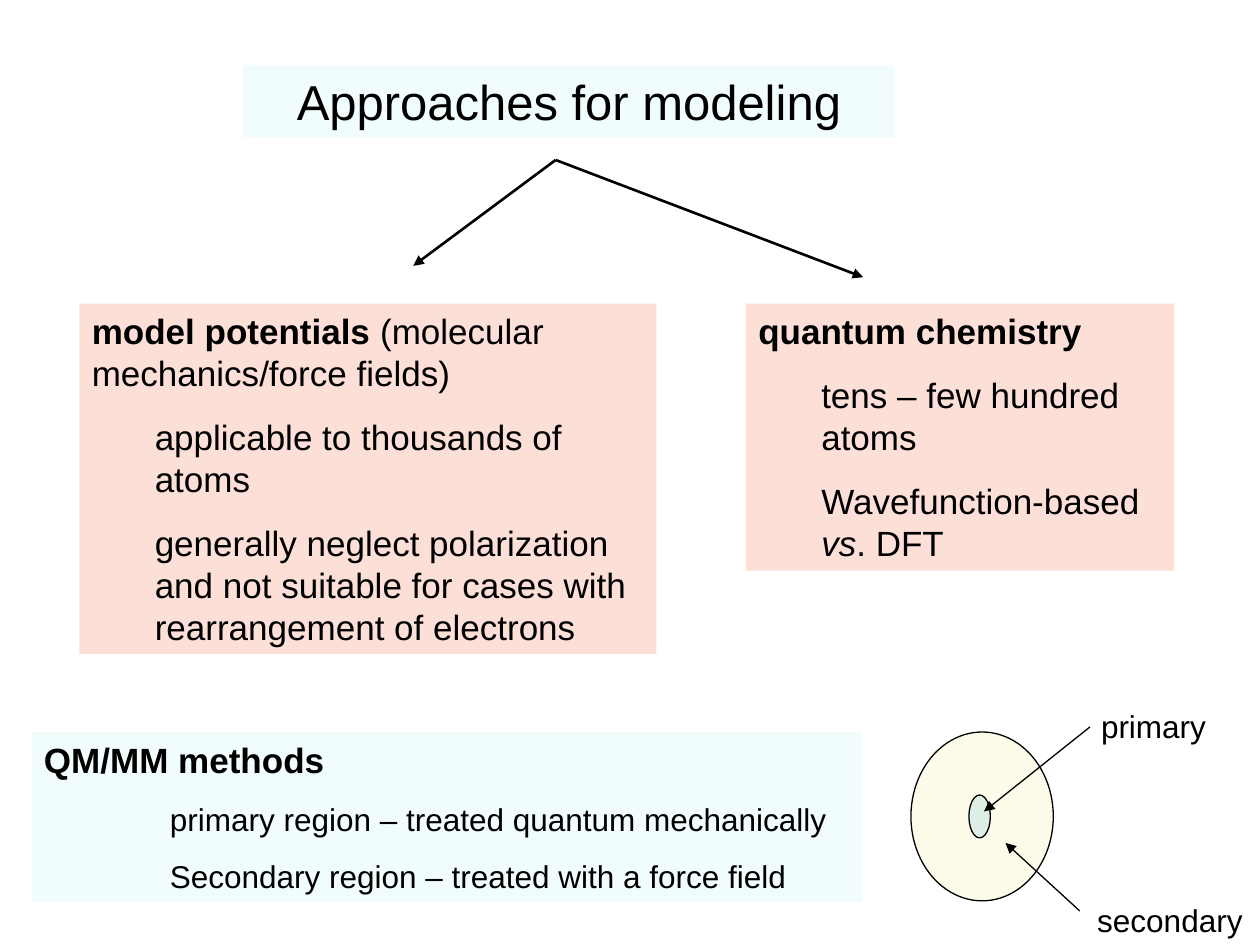
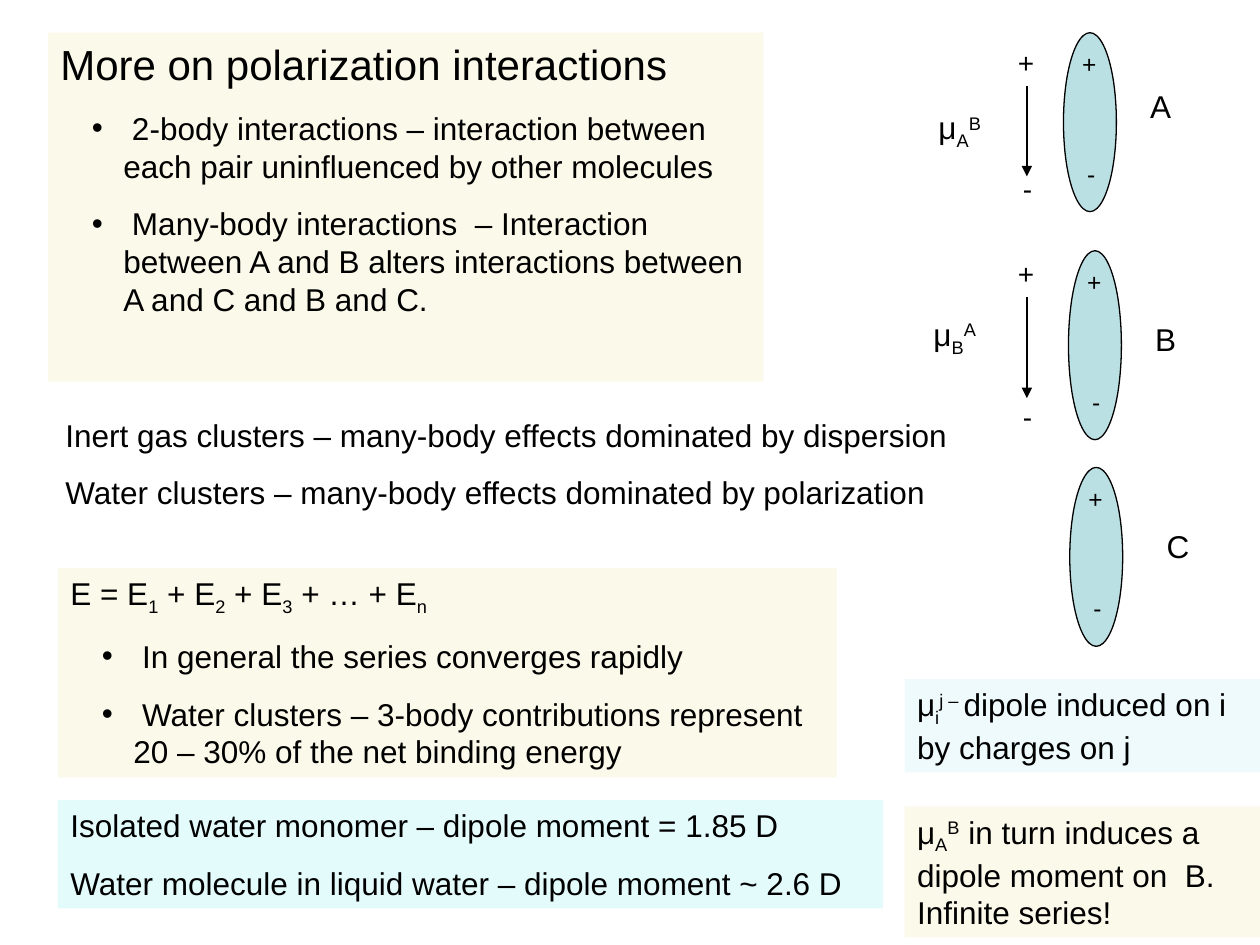
from lxml import etree
from pptx import Presentation
from pptx.dml.color import RGBColor
from pptx.enum import shapes, text
from pptx.oxml import ns
from pptx.util import Inches, Pt

BLACK = RGBColor(0x00, 0x00, 0x00)
MINT = RGBColor(0xF1, 0xFC, 0xFD)
PEACH = RGBColor(0xFC, 0xE0, 0xD8)
CREAM = RGBColor(0xFA, 0xF9, 0xEA)
AQUA = RGBColor(0xE4, 0xFB, 0xFC)
ICE = RGBColor(0xEE, 0xFA, 0xFC)
YELLOW = RGBColor(0xF8, 0xF5, 0xC0)
TEAL = RGBColor(0xBB, 0xE0, 0xE3)

BOLD, ITALIC, SUB, SUPER = "bold", "italic", "sub", "super"
BASELINES = {SUB: "-25000", SUPER: "30000"}


class Deck:
    """Holds the presentation style and the slide being built."""

    font = "Arial"
    space_ratio = 0.625
    bullet_hang = Inches(0.25)

    def __init__(self):
        self.presentation = Presentation()
        self.presentation.slide_width = Inches(10)
        self.presentation.slide_height = Inches(7.5)
        self.slide = None

    def new_slide(self):
        layout = self.presentation.slide_layouts[6]
        self.slide = self.presentation.slides.add_slide(layout)

    def typeset(self, frame, *runs, size=18, indent=0, bullet=False, align=None):
        """Add a paragraph of plain strings and (string, style) pairs."""
        paragraph = frame.paragraphs[0]
        if paragraph.runs:
            paragraph = frame.add_paragraph()
            paragraph.space_before = Pt(size * self.space_ratio)
        paragraph.alignment = align
        properties = paragraph._p.get_or_add_pPr()
        if indent:
            paragraph.level = int(indent / 0.5)
            properties.set("marL", str(Inches(indent)))
            properties.set("indent", str(-self.bullet_hang if bullet else 0))
        if bullet:
            etree.SubElement(properties, ns.qn("a:buFont"), typeface=self.font)
            etree.SubElement(properties, ns.qn("a:buChar"), char="•")
        for item in runs:
            words, style = (item, None) if isinstance(item, str) else item
            run = paragraph.add_run()
            run.text = words
            run.font.name = self.font
            run.font.size = Pt(size)
            run.font.color.rgb = BLACK
            if style == BOLD:
                run.font.bold = True
            elif style == ITALIC:
                run.font.italic = True
            elif style:
                run._r.get_or_add_rPr().set("baseline", BASELINES[style])

    def panel(self, left, top, width, height, fill=None):
        """Add a text box, filled if a colour is given, and return its frame."""
        shape = self.slide.shapes.add_textbox(
            Inches(left), Inches(top), Inches(width), Inches(height))
        if fill is not None:
            shape.fill.solid()
            shape.fill.fore_color.rgb = fill
        shape.text_frame.word_wrap = True
        return shape.text_frame

    def label(self, left, top, width, height, *runs, **style):
        self.typeset(self.panel(left, top, width, height), *runs, **style)

    def ellipse(self, left, top, width, height, fill, opacity=None):
        shape = self.slide.shapes.add_shape(
            shapes.MSO_SHAPE.OVAL,
            Inches(left), Inches(top), Inches(width), Inches(height))
        shape.shadow.inherit = False
        shape.fill.solid()
        shape.fill.fore_color.rgb = fill
        shape.line.color.rgb = BLACK
        shape.line.width = Pt(0.75)
        if opacity:
            color = shape._element.spPr.find(f"{ns.qn('a:solidFill')}/{ns.qn('a:srgbClr')}")
            etree.SubElement(color, ns.qn("a:alpha"), val=str(opacity * 1000))

    def arrow(self, start, end, weight=0.75):
        connector = self.slide.shapes.add_connector(
            shapes.MSO_CONNECTOR.STRAIGHT, *map(Inches, start + end))
        connector.line.color.rgb = BLACK
        connector.line.width = Pt(weight)
        properties = connector._element.spPr
        outline = properties.find(ns.qn("a:ln"))
        etree.SubElement(outline, ns.qn("a:tailEnd"), type="triangle")
        etree.SubElement(properties, ns.qn("a:effectLst"))


def build_approaches(deck):
    deck.new_slide()
    center = text.PP_ALIGN.CENTER
    title = deck.panel(1.93, 0.52, 5.17, 0.57, MINT)
    deck.typeset(title, "Approaches for modeling", size=28, align=center)
    for tip in ((3.28, 2.11), (6.85, 2.2)):
        deck.arrow((4.41, 1.27), tip, weight=1.5)

    potentials = deck.panel(0.63, 2.41, 4.58, 2.78, PEACH)
    deck.typeset(potentials, ("model potentials", BOLD),
                 " (molecular mechanics/force fields)", size=20)
    for point in ("applicable to thousands of atoms",
                  "generally neglect polarization and not suitable for cases "
                  "with rearrangement of electrons"):
        deck.typeset(potentials, point, size=20, indent=0.5)

    quantum = deck.panel(5.92, 2.41, 3.4, 2.12, PEACH)
    deck.typeset(quantum, ("quantum chemistry", BOLD), size=20)
    deck.typeset(quantum, "tens – few hundred atoms", size=20, indent=0.5)
    deck.typeset(quantum, "Wavefunction-based ", ("vs", ITALIC), ". DFT",
                 size=20, indent=0.5)

    methods = deck.panel(0.25, 5.81, 6.59, 1.35, MINT)
    deck.typeset(methods, ("QM/MM methods", BOLD), size=20)
    for region in ("primary region – treated quantum mechanically",
                   "Secondary region – treated with a force field"):
        deck.typeset(methods, region, indent=1)

    deck.ellipse(7.23, 5.81, 1.13, 1.34, YELLOW, opacity=34)
    deck.label(8.61, 5.56, 1.09, 0.4, "primary", align=center)
    deck.label(8.61, 7.1, 1.39, 0.4, "secondary")
    deck.ellipse(7.69, 6.31, 0.17, 0.34, TEAL, opacity=48)
    deck.arrow((8.65, 5.77), (7.81, 6.44))
    deck.arrow((8.57, 7.23), (7.98, 6.69))


def build_molecules(deck):
    """Draw the charged molecules A, B and C and the induced dipoles."""
    molecules = (
        ("A", 8.44, 0.26, 1.42, 9.03, 0.64),
        ("B", 8.48, 1.99, 1.5, 9.07, 2.49),
        ("C", 8.49, 3.71, 1.42, 9.16, 4.13),
    )
    for name, left, top, height, name_left, name_top in molecules:
        deck.ellipse(left, top, 0.42, height, TEAL)
        deck.label(name_left, name_top, 0.58, 0.4, name)
        deck.label(left + 0.05, top + 0.08, 0.38, 0.34, "+", size=14)
        deck.label(left + 0.09, top + height - 0.47, 0.38, 0.34, "-", size=14)

    dipoles = (
        ("A", "B", 0.31, 1.31, 0.68, 1.4, 7.35, 0.81),
        ("B", "A", 1.99, 3.12, 2.36, 3.16, 7.31, 2.45),
    )
    for on, by, plus, minus, start, end, left, top in dipoles:
        deck.label(7.98, plus, 0.29, 0.37, "+", size=16)
        deck.label(8.02, minus, 0.34, 0.37, "-", size=16)
        deck.arrow((8.15, start), (8.15, end))
        deck.label(left, top, 0.63, 0.44, "μ", (on, SUB), (by, SUPER))


def build_polarization(deck):
    deck.new_slide()
    interactions = deck.panel(0.38, 0.26, 5.68, 2.77, CREAM)
    deck.typeset(interactions, "More on polarization interactions", size=24)
    for point in (" 2-body interactions – interaction between each pair "
                  "uninfluenced by other molecules",
                  " Many-body interactions  – Interaction between A and B "
                  "alters interactions between A and C and B and C."):
        deck.typeset(interactions, point, indent=0.5, bullet=True)

    build_molecules(deck)

    clusters = deck.panel(0.42, 3.25, 7.92, 0.86)
    for kind, effect in (("Inert gas", "dispersion"), ("Water", "polarization")):
        deck.typeset(clusters, f"{kind} clusters – many-body effects dominated by {effect}")

    series = deck.panel(0.46, 4.51, 6.18, 1.66, CREAM)
    deck.typeset(series, "E = E", ("1", SUB), " + E", ("2", SUB),
                 " + E", ("3", SUB), " + … + E", ("n", SUB))
    for point in (" In general the series converges rapidly",
                  " Water clusters – 3-body contributions represent "
                  "20 – 30% of the net binding energy"):
        deck.typeset(series, point, indent=0.5, bullet=True)

    moments = deck.panel(0.46, 6.35, 6.55, 0.86, AQUA)
    for moment in ("Isolated water monomer – dipole moment = 1.85 D",
                   "Water molecule in liquid water – dipole moment ~ 2.6 D"):
        deck.typeset(moments, moment)

    notation = deck.panel(7.18, 5.39, 2.82, 0.74, ICE)
    deck.typeset(notation, "μ", ("i", SUB), ("j – ", SUPER),
                 "dipole induced on i by charges on j")
    feedback = deck.panel(7.18, 6.4, 2.82, 1.04, CREAM)
    deck.typeset(feedback, "μ", ("A", SUB), ("B", SUPER),
                 " in turn induces a dipole moment on  B. Infinite series!")


def main():
    deck = Deck()
    build_approaches(deck)
    build_polarization(deck)
    deck.presentation.save("out.pptx")


if __name__ == "__main__":
    main()
